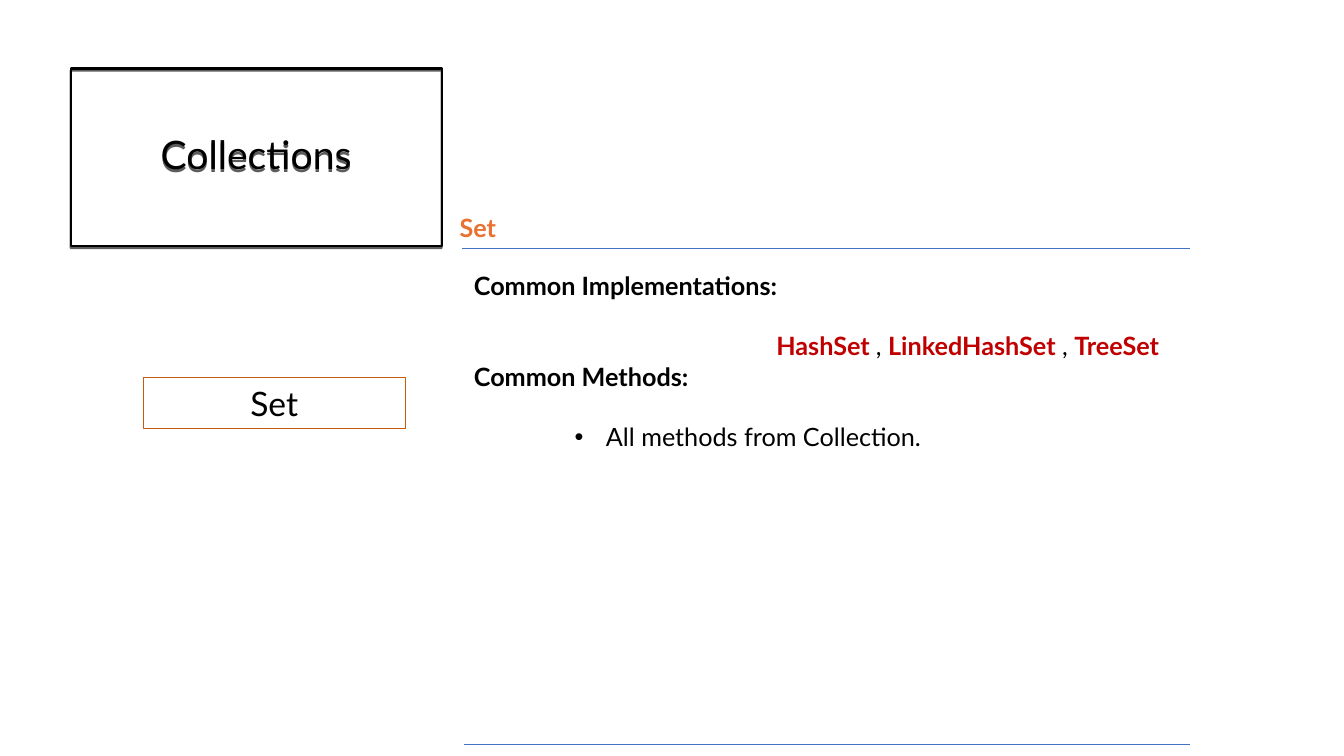
from dataclasses import dataclass

import pptx
import pptx.dml.color
import pptx.enum.shapes
import pptx.enum.text
import pptx.oxml
import pptx.oxml.ns
import pptx.util
from lxml import etree

TITLE = "Collections"
TOPIC = "Set"
# Each paragraph: level, left indent, hanging indent (inches), lines of space before, runs (text, style)
BODY = [
    (0, 0, 0, 0, [("Common Implementations:", "strong")]),
    (0, 3, 0, 1, [("HashSet ", "key"), (", ", "plain"), ("LinkedHashSet", "key"),
                  (" , ", "plain"), ("TreeSet", "key")]),
    (0, 0, 0, 0, [("Common Methods:", "strong")]),
    (1, 1.31, 0.31, 1, [("All methods from Collection.", "plain")]),
]


@dataclass(frozen=True)
class Theme:
    font: str = "Lato"
    black: str = "000000"
    key: str = "C00000"
    heading: str = "E97132"
    rule: str = "4472C4"
    box: str = "C55A11"
    title_size: int = 28
    box_size: int = 24
    text_size: int = 18
    line_height: float = 21.6


THEME = Theme()
STYLES = {"strong": (THEME.black, True), "key": (THEME.key, True), "plain": (THEME.black, False)}
WIDTH, HEIGHT = 13.33, 7.5
RIGHT_COLUMN, RULE_END = 4.6, 11.8
TITLE_BOX = (0.7, 0.68, 3.68, 1.76)
TOPIC_BOX = (1.42, 3.75, 2.6, 0.5)
HEADING_BOX = (4.46, 2.06, 2.51, 0.4)
BODY_BOX = (RIGHT_COLUMN, 2.63, 7.53, 1.92)
RULES = [(4.58, 2.46), (RIGHT_COLUMN, 7.38)]


def inches(values):
    return [pptx.util.Inches(value) for value in values]


def rgb(color):
    return pptx.dml.color.RGBColor.from_string(color)


def place(shape, box):
    shape.left, shape.top, shape.width, shape.height = inches(box)


def outline(shape, color, width):
    shape.line.color.rgb = rgb(color)
    shape.line.width = pptx.util.Pt(width)


def style_run(run, size, color, bold=False):
    run.font.name = THEME.font
    run.font.size = pptx.util.Pt(size)
    run.font.bold = bold
    run.font.color.rgb = rgb(color)


def write(shape, text, size, color, alignment, bold=False):
    frame = shape.text_frame
    frame.text = text
    frame.word_wrap = True
    paragraph = frame.paragraphs[0]
    paragraph.alignment = alignment
    style_run(paragraph.runs[0], size, color, bold)
    return paragraph


def add_effects(shape, content=""):
    namespace = pptx.oxml.ns.nsdecls("a")
    effects = pptx.oxml.parse_xml(f"<a:effectLst {namespace}>{content}</a:effectLst>")
    shape._element.spPr.append(effects)


def set_bullet(paragraph, indent, hanging):
    properties = paragraph._p.get_or_add_pPr()
    properties.set("marL", str(pptx.util.Inches(indent)))
    properties.set("indent", str(-pptx.util.Inches(hanging)))
    if hanging:
        etree.SubElement(properties, pptx.oxml.ns.qn("a:buFont"), typeface="Arial")
        etree.SubElement(properties, pptx.oxml.ns.qn("a:buChar"), char="•")
    else:
        etree.SubElement(properties, pptx.oxml.ns.qn("a:buNone"))


def add_title(slide):
    title = slide.shapes.title
    place(title, TITLE_BOX)
    paragraph = write(title, TITLE, THEME.title_size, THEME.black, pptx.enum.text.PP_ALIGN.CENTER)
    paragraph.line_spacing = 0.9
    title.text_frame.vertical_anchor = pptx.enum.text.MSO_ANCHOR.MIDDLE
    title.text_frame.auto_size = pptx.enum.text.MSO_AUTO_SIZE.NONE
    outline(title, THEME.black, 1.5)
    add_effects(title, f'<a:outerShdw blurRad="0" dist="{pptx.util.Pt(1.5)}" dir="5400000">'
                       f'<a:srgbClr val="{THEME.black}"><a:alpha val="63000"/></a:srgbClr>'
                       '</a:outerShdw>')


def add_body(slide):
    body = slide.placeholders[1]
    place(body, BODY_BOX)
    frame = body.text_frame
    frame.auto_size = pptx.enum.text.MSO_AUTO_SIZE.NONE
    for index, (level, indent, hanging, gap, runs) in enumerate(BODY):
        paragraph = frame.add_paragraph() if index else frame.paragraphs[0]
        paragraph.level = level
        set_bullet(paragraph, indent, hanging)
        paragraph.space_before = pptx.util.Pt(gap * THEME.line_height)
        for text, style in runs:
            run = paragraph.add_run()
            run.text = text
            style_run(run, THEME.text_size, *STYLES[style])


def add_rules(slide):
    for left, top in RULES:
        rule = slide.shapes.add_connector(
            pptx.enum.shapes.MSO_CONNECTOR.STRAIGHT, *inches((left, top, RULE_END, top)))
        outline(rule, THEME.rule, 0.5)
        add_effects(rule)


def add_topic(slide):
    heading = slide.shapes.add_textbox(*inches(HEADING_BOX))
    write(heading, TOPIC, THEME.text_size, THEME.heading, pptx.enum.text.PP_ALIGN.LEFT, True)
    box = slide.shapes.add_shape(pptx.enum.shapes.MSO_SHAPE.RECTANGLE, *inches(TOPIC_BOX))
    box.shadow.inherit = False
    box.fill.background()
    outline(box, THEME.box, 0.75)
    write(box, TOPIC, THEME.box_size, THEME.black, pptx.enum.text.PP_ALIGN.CENTER)


def main():
    presentation = pptx.Presentation()
    presentation.slide_width, presentation.slide_height = inches((WIDTH, HEIGHT))
    slide = presentation.slides.add_slide(presentation.slide_layouts.get_by_name("Title and Content"))
    add_title(slide)
    add_rules(slide)
    add_topic(slide)
    add_body(slide)
    presentation.save("out.pptx")


if __name__ == "__main__":
    main()
